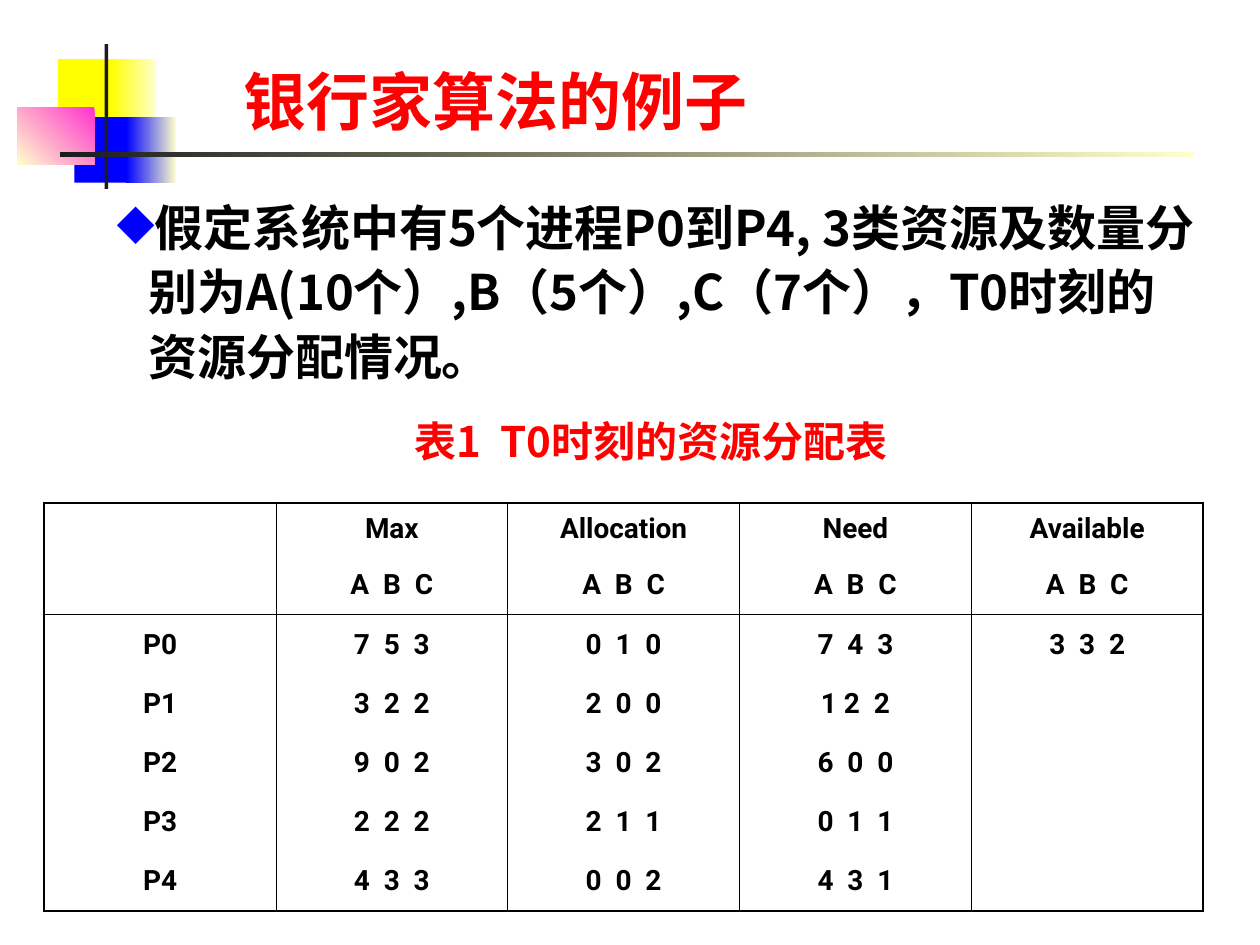
import pptx
from lxml import etree
from pptx.dml.color import RGBColor
from pptx.enum.shapes import MSO_SHAPE
from pptx.enum.text import MSO_ANCHOR, PP_ALIGN
from pptx.oxml.ns import qn
from pptx.util import Inches, Pt

BLACK = RGBColor(0x00, 0x00, 0x00)
RED = RGBColor(0xFF, 0x00, 0x00)
BLUE = RGBColor(0x00, 0x00, 0xFF)
YELLOW = RGBColor(0xFF, 0xFF, 0x00)
CREAM = RGBColor(0xFF, 0xFF, 0xCC)
PINK = RGBColor(0xFF, 0x33, 0xCC)
CHARCOAL = RGBColor(0x1C, 0x1C, 0x1C)

CHINESE_FONT = "Noto Sans CJK SC"
TABLE_FONT = "Roboto"

TITLE = "银行家算法的例子"
BODY = "假定系统中有5个进程P0到P4, 3类资源及数量分别为A(10个）,B（5个）,C（7个），T0时刻的资源分配情况。"
CAPTION = "表1  T0时刻的资源分配表"
ROWS = [
    ("", "Max", "Allocation", "Need", "Available"),
    ("",) + ("A  B  C",) * 4,
    ("P0", "7  5  3", "0  1  0", "7  4  3", "3  3  2"),
    ("P1", "3  2  2", "2  0  0", "1 2  2", ""),
    ("P2", "9  0  2", "3  0  2", "6  0  0", ""),
    ("P3", "2  2  2", "2  1  1", "0  1  1", ""),
    ("P4", "4  3  3", "0  0  2", "4  3  1", ""),
]
HEADER_ROWS = 2
COLUMN_WIDTH = 1.84
FIRST_ROW_HEIGHT, ROW_HEIGHT = 0.42, 0.47
OUTER_LINE, INNER_LINE = Pt(1.08), Pt(0.45)

# left, top, width, height, colours (two make a gradient), gradient angle
ORNAMENTS = [
    (0.46, 0.47, 0.48, 0.52, (YELLOW,), None),
    (0.88, 0.47, 0.36, 0.52, (CREAM, YELLOW), 180),
    (0.59, 0.93, 0.46, 0.52, (BLUE,), None),
    (1.00, 0.93, 0.40, 0.52, (CREAM, BLUE), 180),
    (0.14, 0.85, 0.61, 0.46, (PINK, CREAM), 225),
    (0.83, 0.35, 0.03, 1.15, (CHARCOAL,), None),
    (0.48, 1.21, 9.00, 0.04, (CREAM, CHARCOAL), 180),
]


def add_ornament(slide, left, top, width, height, colors, angle):
    shape = slide.shapes.add_shape(
        MSO_SHAPE.RECTANGLE, Inches(left), Inches(top), Inches(width), Inches(height))
    shape.shadow.inherit = False
    shape.line.fill.background()
    if len(colors) == 1:
        shape.fill.solid()
        shape.fill.fore_color.rgb = colors[0]
        return
    shape.fill.gradient()
    shape.fill.gradient_angle = angle
    for stop, color in zip(shape.fill.gradient_stops, colors):
        stop.color.rgb = color


def style(paragraph, size, color, name):
    font = paragraph.font
    font.size, font.bold, font.name = Pt(size), True, name
    font.color.rgb = color
    latin = font._element.find(qn("a:latin"))
    east_asian = etree.Element(qn("a:ea"), typeface=name)
    latin.addnext(east_asian)


def fill_text(shape, text, size, color):
    shape.text_frame.word_wrap = True
    shape.text_frame.text = text
    paragraph = shape.text_frame.paragraphs[0]
    style(paragraph, size, color, CHINESE_FONT)
    return paragraph


def add_bullet(paragraph, character, color, indent):
    properties = paragraph._p.get_or_add_pPr()
    properties.set("marL", str(indent))
    properties.set("indent", str(-indent))
    bullet_color = etree.SubElement(properties, qn("a:buClr"))
    etree.SubElement(bullet_color, qn("a:srgbClr"), val=str(color))
    etree.SubElement(properties, qn("a:buChar"), char=character)


def set_borders(cell, borders):
    """Draw the sides given as {"L": width, ...}; a width of None means no line."""
    properties = cell._tc.get_or_add_tcPr()
    for side in "LRTB":
        width = borders[side]
        line = etree.SubElement(properties, qn(f"a:ln{side}"), w=str(width or 0))
        if width is None:
            etree.SubElement(line, qn("a:noFill"))
        else:
            fill = etree.SubElement(line, qn("a:solidFill"))
            etree.SubElement(fill, qn("a:srgbClr"), val=str(BLACK))


def add_allocation_table(slide):
    row_count, column_count = len(ROWS), len(ROWS[0])
    height = FIRST_ROW_HEIGHT + ROW_HEIGHT * (row_count - 1)
    table = slide.shapes.add_table(
        row_count, column_count, Inches(0.35), Inches(3.99),
        Inches(COLUMN_WIDTH * column_count), Inches(height)).table
    table.first_row = table.horz_banding = False
    for column in table.columns:
        column.width = Inches(COLUMN_WIDTH)
    for r, values in enumerate(ROWS):
        table.rows[r].height = Inches(ROW_HEIGHT if r else FIRST_ROW_HEIGHT)
        for c, value in enumerate(values):
            cell = table.cell(r, c)
            top = INNER_LINE if r == HEADER_ROWS else None
            bottom = INNER_LINE if r == HEADER_ROWS - 1 else None
            set_borders(cell, {
                "L": INNER_LINE if c else OUTER_LINE,
                "R": INNER_LINE if c < column_count - 1 else OUTER_LINE,
                "T": top if r else OUTER_LINE,
                "B": bottom if r < row_count - 1 else OUTER_LINE,
            })
            cell.fill.background()
            cell.vertical_anchor = MSO_ANCHOR.MIDDLE
            cell.text = value
            paragraph = cell.text_frame.paragraphs[0]
            paragraph.alignment = PP_ALIGN.CENTER
            style(paragraph, 16, BLACK, TABLE_FONT)
    table.cell(0, 0).merge(table.cell(HEADER_ROWS - 1, 0))


def main():
    presentation = pptx.Presentation()
    presentation.slide_width, presentation.slide_height = Inches(10), Inches(7.5)
    slide = presentation.slides.add_slide(presentation.slide_layouts[5])

    for ornament in ORNAMENTS:
        add_ornament(slide, *ornament)

    title = slide.shapes.title
    title.left, title.top = Inches(1.83), Inches(0.28)
    title.width, title.height = Inches(6), Inches(0.87)
    title.text_frame.vertical_anchor = MSO_ANCHOR.BOTTOM
    fill_text(title, TITLE, 36, RED).alignment = PP_ALIGN.LEFT

    body = slide.shapes.add_textbox(Inches(0.83), Inches(1.47), Inches(8.76), Inches(1.81))
    body.text_frame.text = BODY
    add_bullet(body.text_frame.paragraphs[0], "◆", BLUE, Inches(0.25))
    body.text_frame.word_wrap = True
    style(body.text_frame.paragraphs[0], 28, BLACK, CHINESE_FONT)
    body.text_frame.paragraphs[0].line_spacing = 1.1

    add_allocation_table(slide)

    caption = slide.shapes.add_textbox(Inches(3.19), Inches(3.25), Inches(4.42), Inches(0.5))
    fill_text(caption, CAPTION, 24, RED)

    presentation.save("out.pptx")


if __name__ == "__main__":
    main()
